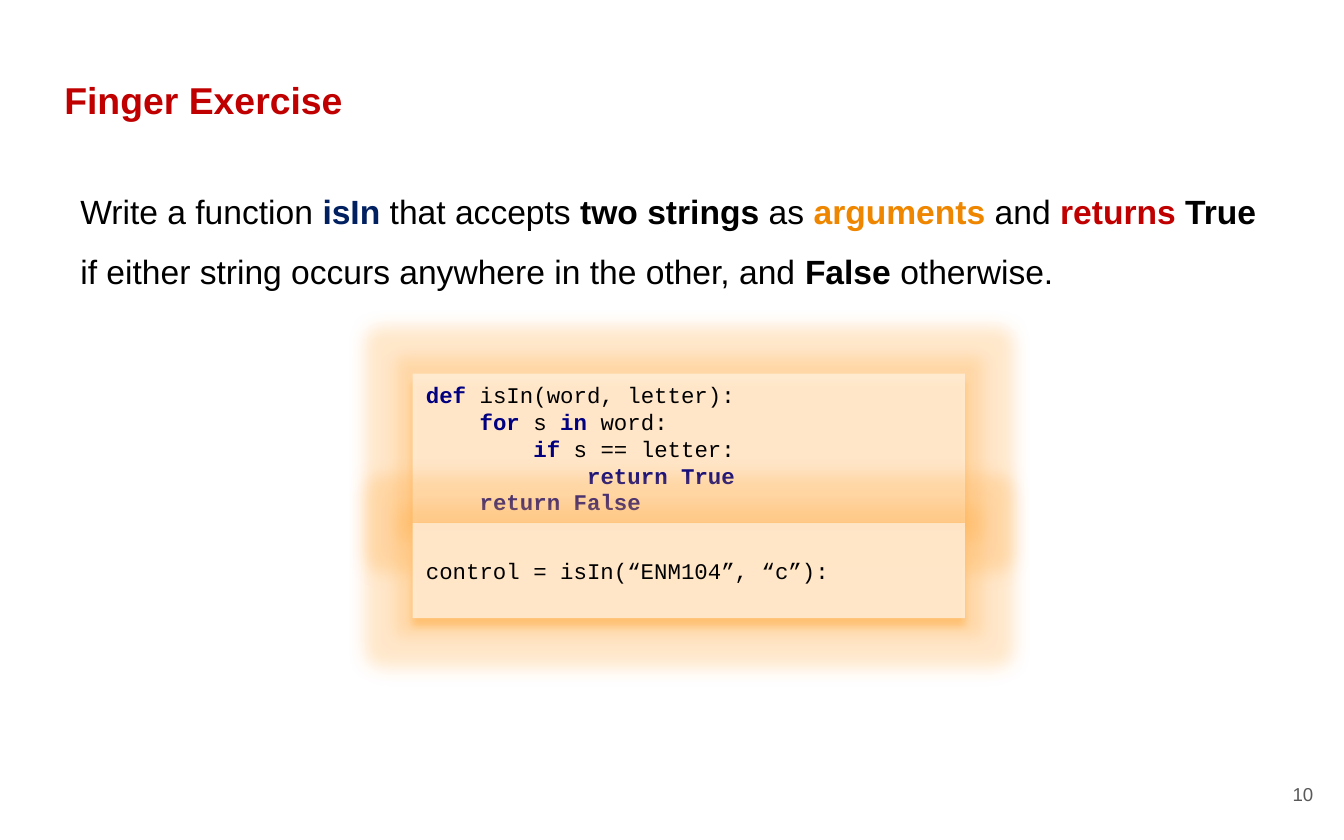
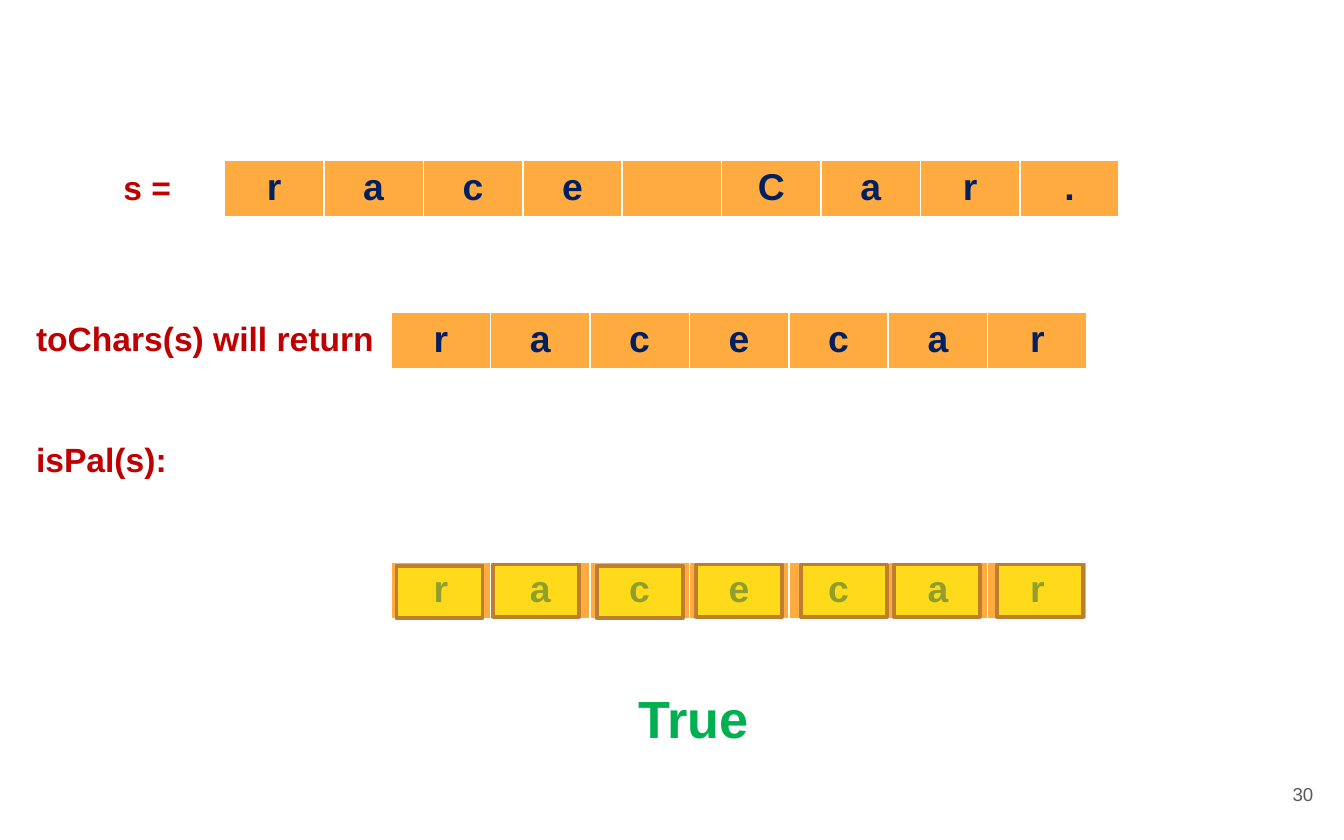
from lxml import etree
from pptx import Presentation
from pptx import util as u
from pptx.dml.color import RGBColor
from pptx.enum import shapes, text
from pptx.oxml.ns import qn

RED, NAVY, GREEN, BLACK = "C00000", "002060", "00B050", "000000"
ORANGE, GRAY, WHITE, KEYWORD = "FFAB40", "595959", "FFFFFF", "000080"
CELL_WIDTH, CELL_HEIGHT = 0.74, 0.41
CENTER, RIGHT = text.PP_ALIGN.CENTER, text.PP_ALIGN.RIGHT
MIDDLE = text.MSO_ANCHOR.MIDDLE


def color(value):
    return RGBColor.from_string(value)


def add_node(parent, tag, **attributes):
    node = etree.SubElement(parent, qn(tag))
    for name, value in attributes.items():
        node.set(name, str(value))
    return node


def add_color(parent, value, opacity=100):
    node = add_node(parent, "a:srgbClr", val=value)
    add_node(node, "a:alpha", val=opacity * 1000)


def write(para, spans, size, font="Arial"):
    for words, tone, bold in spans:
        span = para.add_run()
        span.text = words
        span.font.size = u.Pt(size)
        span.font.name = font
        span.font.bold = bold
        span.font.color.rgb = color(tone)


def add_text(slide, place, spans, size, inset=None, wrap=True, anchor=None, align=None):
    box = slide.shapes.add_textbox(*map(u.Inches, place))
    frame = box.text_frame
    frame.word_wrap = wrap
    if anchor is not None:
        frame.vertical_anchor = anchor
    if inset is not None:
        frame.margin_top = frame.margin_bottom = u.Inches(inset)
    para = frame.paragraphs[0]
    para.alignment = align
    write(para, spans, size)
    return para


def add_label(slide, place, words, size=18, tone=RED):
    add_text(slide, place, [(words, tone, True)], size, wrap=False)


def add_page_number(slide, number):
    add_text(slide, (9.27, 5.67, 0.6, 0.48), [(str(number), GRAY, False)], 10,
             inset=0.1, anchor=MIDDLE, align=RIGHT)


def add_rectangle(slide, place, fill, opacity):
    shape = slide.shapes.add_shape(shapes.MSO_SHAPE.RECTANGLE, *map(u.Inches, place))
    shape.shadow.inherit = False
    shape.fill.solid()
    shape.fill.fore_color.rgb = color(fill)
    fill_color = shape.element.spPr.find(qn("a:solidFill"))[0]
    add_node(fill_color, "a:alpha", val=opacity * 1000)
    return shape


def add_glow_and_shadow(shape):
    effects = shape.element.spPr.find(qn("a:effectLst"))
    glow = add_node(effects, "a:glow", rad=u.Pt(18))
    add_color(glow, ORANGE, 25)
    shadow = add_node(effects, "a:outerShdw", blurRad=u.Pt(4), dist=u.Pt(4),
                      dir=90 * 60000, rotWithShape=0)
    add_color(shadow, "FFCD8C")


def add_code(slide, place, lines):
    shape = add_rectangle(slide, place, "FFEED9", 84)
    shape.line.fill.background()
    add_glow_and_shadow(shape)
    frame = shape.text_frame
    frame.word_wrap = True
    frame.vertical_anchor = MIDDLE
    for index, (level, spans) in enumerate(lines):
        para = frame.paragraphs[0] if index == 0 else frame.add_paragraph()
        para.alignment = text.PP_ALIGN.LEFT
        para._p.get_or_add_pPr().set("marL", str(u.Inches(0.4 * level)))
        write(para, spans, 12, "Courier New")


def add_borders(cell):
    properties = cell._tc.get_or_add_tcPr()
    for side, width in (("L", 1), ("R", 1), ("T", 1), ("B", 3)):
        line = add_node(properties, f"a:ln{side}", w=u.Pt(width))
        add_color(add_node(line, "a:solidFill"), WHITE)


def add_letters(slide, left, top, letters):
    frame = slide.shapes.add_table(
        1, len(letters), u.Inches(left), u.Inches(top),
        u.Inches(CELL_WIDTH * len(letters)), u.Inches(CELL_HEIGHT))
    table = frame.table
    table.first_row = table.horz_banding = False
    for column, letter in enumerate(letters):
        table.columns[column].width = u.Inches(CELL_WIDTH)
        cell = table.cell(0, column)
        add_borders(cell)
        cell.fill.solid()
        cell.fill.fore_color.rgb = color(ORANGE)
        para = cell.text_frame.paragraphs[0]
        para.alignment = CENTER
        if letter.strip():
            write(para, [(letter, NAVY, True)], 20)


def add_highlight(slide, left, top):
    shape = add_rectangle(slide, (left, top, 0.64, 0.39), "FFFF00", 57)
    shape.line.color.rgb = color("BD7F2F")
    shape.line.width = u.Pt(2)


def build_exercise(slide):
    add_text(slide, (0.38, 0.58, 7.52, 0.32), [("Finger Exercise", RED, True)], 20,
             inset=0.1, anchor=MIDDLE)
    task = [
        ("Write a function ", BLACK, False), ("isIn ", NAVY, True),
        ("that accepts ", BLACK, False), ("two strings", BLACK, True),
        (" as ", BLACK, False), ("arguments ", "EF8600", True),
        ("and ", BLACK, False), ("returns ", RED, True), ("True ", BLACK, True),
        ("if either string occurs anywhere in the other, and ", BLACK, False),
        ("False ", BLACK, True), ("otherwise.", BLACK, False),
    ]
    para = add_text(slide, (0.38, 1.17, 9.14, 4.65), task, 18, inset=0.1)
    para.line_spacing = 1.5
    para._p.get_or_add_pPr().set("marL", str(u.Inches(0.12)))
    add_page_number(slide, 10)
    add_code(slide, (3.07, 2.78, 4.11, 1.11), [
        (0, [("def ", KEYWORD, True), ("isIn(word, letter):", BLACK, False)]),
        (1, [("for ", KEYWORD, True), ("s ", BLACK, False),
             ("in ", KEYWORD, True), ("word:", BLACK, False)]),
        (2, [("if ", KEYWORD, True), ("s == letter:", BLACK, False)]),
        (3, [("return True", KEYWORD, True)]),
        (1, [("return False", KEYWORD, True)]),
    ])
    add_code(slide, (3.07, 3.89, 4.11, 0.71),
             [(0, [("control = isIn(“ENM104”, “c”):", BLACK, False)])])


def build_palindrome(slide):
    add_page_number(slide, 30)
    add_letters(slide, 1.67, 1.19, "race Car.")
    for top in (2.32, 4.18):
        add_letters(slide, 2.91, top, "racecar")
    add_label(slide, (0.82, 1.19, 0.56, 0.4), "s =")
    add_label(slide, (0.17, 2.32, 2.74, 0.4), "toChars(s) will return")
    add_label(slide, (0.17, 3.22, 1.18, 0.4), "isPal(s):")
    highlights = [(2.95, 4.21), (3.67, 4.2), (4.44, 4.21), (5.18, 4.2),
                  (5.96, 4.2), (6.65, 4.2), (7.42, 4.2)]
    for left, top in highlights:
        add_highlight(slide, left, top)
    add_label(slide, (4.65, 5.06, 1.05, 0.57), "True", 28, GREEN)


def main():
    deck = Presentation()
    deck.slide_width, deck.slide_height = u.Inches(10), u.Inches(6.25)
    for build in (build_exercise, build_palindrome):
        build(deck.slides.add_slide(deck.slide_layouts[6]))
    deck.save("out.pptx")


if __name__ == "__main__":
    main()
